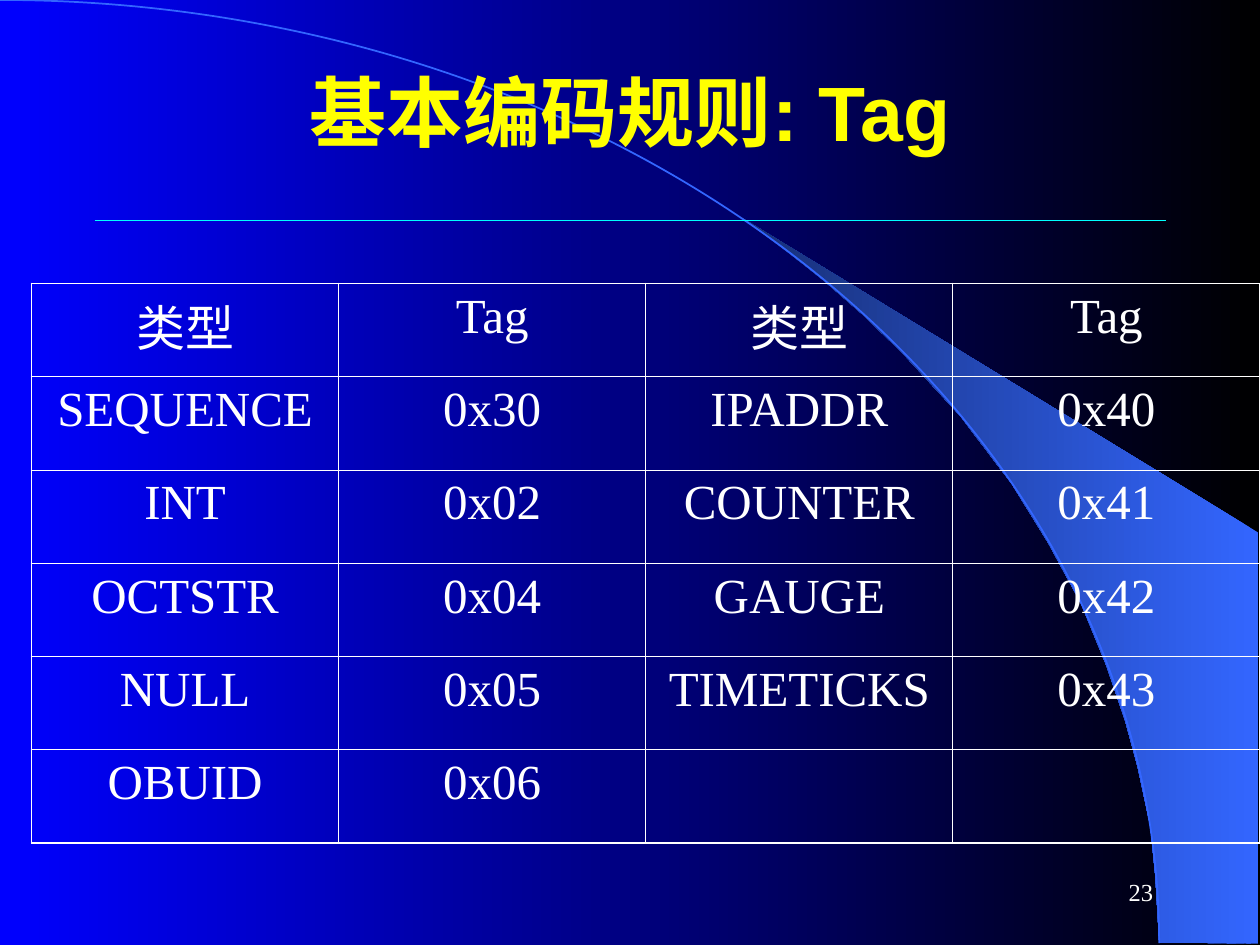
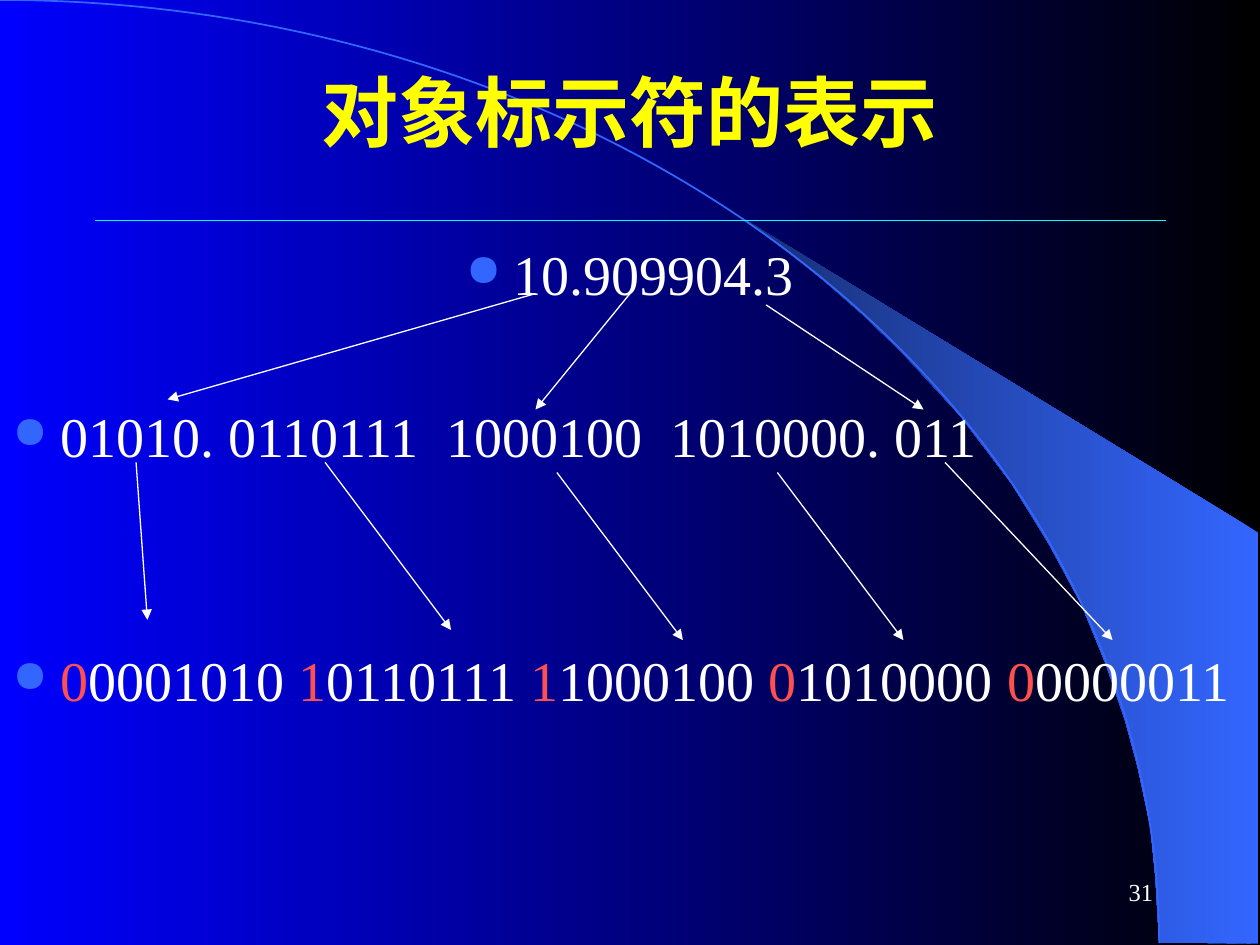
import lxml.etree
import pptx
import pptx.dml.color
import pptx.enum.shapes
import pptx.enum.text
import pptx.oxml.ns
import pptx.util

Inches = pptx.util.Inches
Pt = pptx.util.Pt
RGBColor = pptx.dml.color.RGBColor
Align = pptx.enum.text.PP_ALIGN
Anchor = pptx.enum.text.MSO_ANCHOR
qn = pptx.oxml.ns.qn

BLACK = RGBColor(0x00, 0x00, 0x00)
BLUE = RGBColor(0x00, 0x00, 0xFF)
SKY = RGBColor(0x33, 0x66, 0xFF)
NAVY = RGBColor(0x17, 0x2F, 0x75)
CYAN = RGBColor(0x00, 0xFF, 0xFF)
YELLOW = RGBColor(0xFF, 0xFF, 0x00)
WHITE = RGBColor(0xFF, 0xFF, 0xFF)
RED = RGBColor(0xFF, 0x50, 0x50)

TITLE_FONT = "Arial"
TEXT_FONT = "Times New Roman"
TITLE_ONLY = 5
OUTER_BORDER, INNER_BORDER = 1.08, 0.45

WEDGE = [(9.2, 7.48), (9.99, 7.49), (9.99, 4.23), (5.89, 1.73), (6.24, 1.99),
         (6.53, 2.22), (6.85, 2.5), (7.16, 2.8), (7.62, 3.3), (8.03, 3.84),
         (8.32, 4.31), (8.58, 4.79), (8.78, 5.28), (8.93, 5.72), (9.03, 6.09),
         (9.13, 6.56), (9.17, 6.96)]

TAG_ROWS = [
    ("类型", "Tag", "类型", "Tag"),
    ("SEQUENCE", "0x30", "IPADDR", "0x40"),
    ("INT", "0x02", "COUNTER", "0x41"),
    ("OCTSTR", "0x04", "GAUGE", "0x42"),
    ("NULL", "0x05", "TIMETICKS", "0x43"),
    ("OBUID", "0x06", "", ""),
]

OCTETS = ["00001010", "10110111", "11000100", "01010000", "00000011"]

NUMBER_ARROWS = [((4.25, 2.33), (1.33, 3.17)), ((5, 2.33), (4.25, 3.25)),
                 ((6.08, 2.42), (7.33, 3.25))]
OCTET_ARROWS = [((1.08, 3.67), (1.17, 4.92)), ((2.58, 3.67), (3.58, 5)),
                ((4.42, 3.75), (5.42, 5.08)), ((6.17, 3.75), (7.17, 5.08)),
                ((7.5, 3.67), (8.83, 5.08))]


def add_xml(parent, tag, **attributes):
    return lxml.etree.SubElement(parent, qn(tag), attributes)


def fill_gradient(fill, right, left):
    fill.gradient()
    fill.gradient_angle = 180
    for stop, color in zip(fill.gradient_stops, (right, left)):
        stop.color.rgb = color


def set_font(para, size, color=WHITE, name=TEXT_FONT, bold=False):
    font = para.font
    font.size, font.name, font.bold = Pt(size), name, bold
    font.color.rgb = color


class DeckBuilder:
    def __init__(self):
        self.deck = pptx.Presentation()
        self.deck.slide_width, self.deck.slide_height = Inches(10), Inches(7.5)
        self.page = None

    def add_page(self, title, number):
        self.page = self.deck.slides.add_slide(self.deck.slide_layouts[TITLE_ONLY])
        if len(self.deck.slides) == 1:
            self.decorate_master()
        box = self.page.shapes.title
        box.left, box.top = Inches(0.75), Inches(0.25)
        box.width, box.height = Inches(8.5), Inches(1.25)
        box.text_frame.vertical_anchor = Anchor.MIDDLE
        para = box.text_frame.paragraphs[0]
        para.text, para.alignment = title, Align.CENTER
        set_font(para, 44, YELLOW, TITLE_FONT, bold=True)
        self.add_page_number(number)

    def decorate_master(self):
        """Draw the backdrop on the first page and hand it to the slide master."""
        master = self.deck.slide_master
        fill_gradient(master.background.fill, BLACK, BLUE)
        backdrop = [self.add_wedge(), self.add_arc(),
                    self.add_line((0.75, 1.75), (9.25, 1.75), CYAN)]
        for shape_id, shape in enumerate(backdrop, start=100):
            shape._element.xpath(".//p:cNvPr")[0].set("id", str(shape_id))
            master.shapes._spTree.append(shape._element)

    def add_wedge(self):
        points = [(Inches(x), Inches(y)) for x, y in WEDGE]
        outline = self.page.shapes.build_freeform(*points[0])
        outline.add_line_segments(points[1:], close=True)
        wedge = outline.convert_to_shape()
        wedge.shadow.inherit = False
        fill_gradient(wedge.fill, SKY, NAVY)
        wedge.line.fill.background()
        return wedge

    def add_arc(self):
        arc = self.page.shapes.add_shape(
            pptx.enum.shapes.MSO_SHAPE.ARC,
            Inches(-9.2), Inches(0), Inches(18.4), Inches(14.97))
        arc.shadow.inherit = False
        arc.fill.background()
        arc.line.color.rgb, arc.line.width = SKY, Pt(1)
        return arc

    def add_line(self, start, end, color=WHITE, arrow=False):
        line = self.page.shapes.add_connector(
            pptx.enum.shapes.MSO_CONNECTOR.STRAIGHT,
            *(Inches(value) for value in (*start, *end)))
        line.line.color.rgb, line.line.width = color, Pt(0.75)
        properties = line._element.spPr
        if arrow:
            add_xml(properties.find(qn("a:ln")), "a:tailEnd", type="triangle")
        add_xml(properties, "a:effectLst")
        return line

    def add_text_frame(self, left, top, width, height):
        box = self.page.shapes.add_textbox(
            Inches(left), Inches(top), Inches(width), Inches(height))
        box.text_frame.word_wrap = True
        return box.text_frame

    def add_page_number(self, number):
        frame = self.add_text_frame(7.17, 6.83, 2.08, 0.5)
        frame.vertical_anchor = Anchor.MIDDLE
        para = frame.paragraphs[0]
        para.text, para.alignment = str(number), Align.RIGHT
        set_font(para, 14)

    def add_bullets(self, bullets):
        """Each bullet is (alignment, space before in points, [(text, color)])."""
        frame = self.add_text_frame(0, 1.83, 10, 4.83)
        for index, (alignment, gap, spans) in enumerate(bullets):
            para = frame.add_paragraph() if index else frame.paragraphs[0]
            properties = para._p.get_or_add_pPr()
            properties.set("marL", str(Inches(0.38)))
            properties.set("indent", str(Inches(-0.38)))
            add_xml(add_xml(properties, "a:buClr"), "a:srgbClr", val=str(SKY))
            add_xml(properties, "a:buSzPct", val="80000")
            add_xml(properties, "a:buChar", char="●")
            para.alignment, para.line_spacing = alignment, Pt(40)
            if index:
                para.space_before = Pt(gap)
            set_font(para, 32)
            for text, color in spans:
                span = para.add_run()
                span.text = text
                span.font.color.rgb = color

    def add_table(self, rows):
        row_count, column_count = len(rows), len(rows[0])
        table = self.page.shapes.add_table(
            row_count, column_count,
            Inches(0.25), Inches(2.25), Inches(9.75), Inches(4.44)).table
        table.first_row = table.horz_banding = False
        for r, row in enumerate(rows):
            for c, text in enumerate(row):
                cell = table.cell(r, c)
                on_edge = {"L": c == 0, "R": c == column_count - 1,
                           "T": r == 0, "B": r == row_count - 1}
                self.add_borders(cell, on_edge)
                cell.fill.background()
                para = cell.text_frame.paragraphs[0]
                para.text, para.alignment = text, Align.CENTER
                para.space_before = Pt(7)
                set_font(para, 28)

    def add_borders(self, cell, on_edge):
        properties = cell._tc.get_or_add_tcPr()
        for side, outer in on_edge.items():
            width = Pt(OUTER_BORDER if outer else INNER_BORDER)
            border = add_xml(properties, f"a:ln{side}", w=str(width))
            add_xml(add_xml(border, "a:solidFill"), "a:srgbClr", val=str(WHITE))


def main():
    builder = DeckBuilder()

    builder.add_page("基本编码规则: Tag", 23)
    builder.add_table(TAG_ROWS)

    builder.add_page("对象标示符的表示", 31)
    octet_spans = []
    for octet in OCTETS:
        separator = "" if octet is OCTETS[-1] else " "
        octet_spans += [(octet[0], RED), (octet[1:] + separator, WHITE)]
    builder.add_bullets([
        (Align.CENTER, 0, [("10.909904.3", WHITE)]),
        (Align.LEFT, 52.6, [("01010. 0110111  1000100  1010000. 011", WHITE)]),
        (Align.LEFT, 99.4, octet_spans),
    ])
    for start, end in NUMBER_ARROWS + OCTET_ARROWS:
        builder.add_line(start, end, arrow=True)

    builder.deck.save("out.pptx")


if __name__ == "__main__":
    main()
